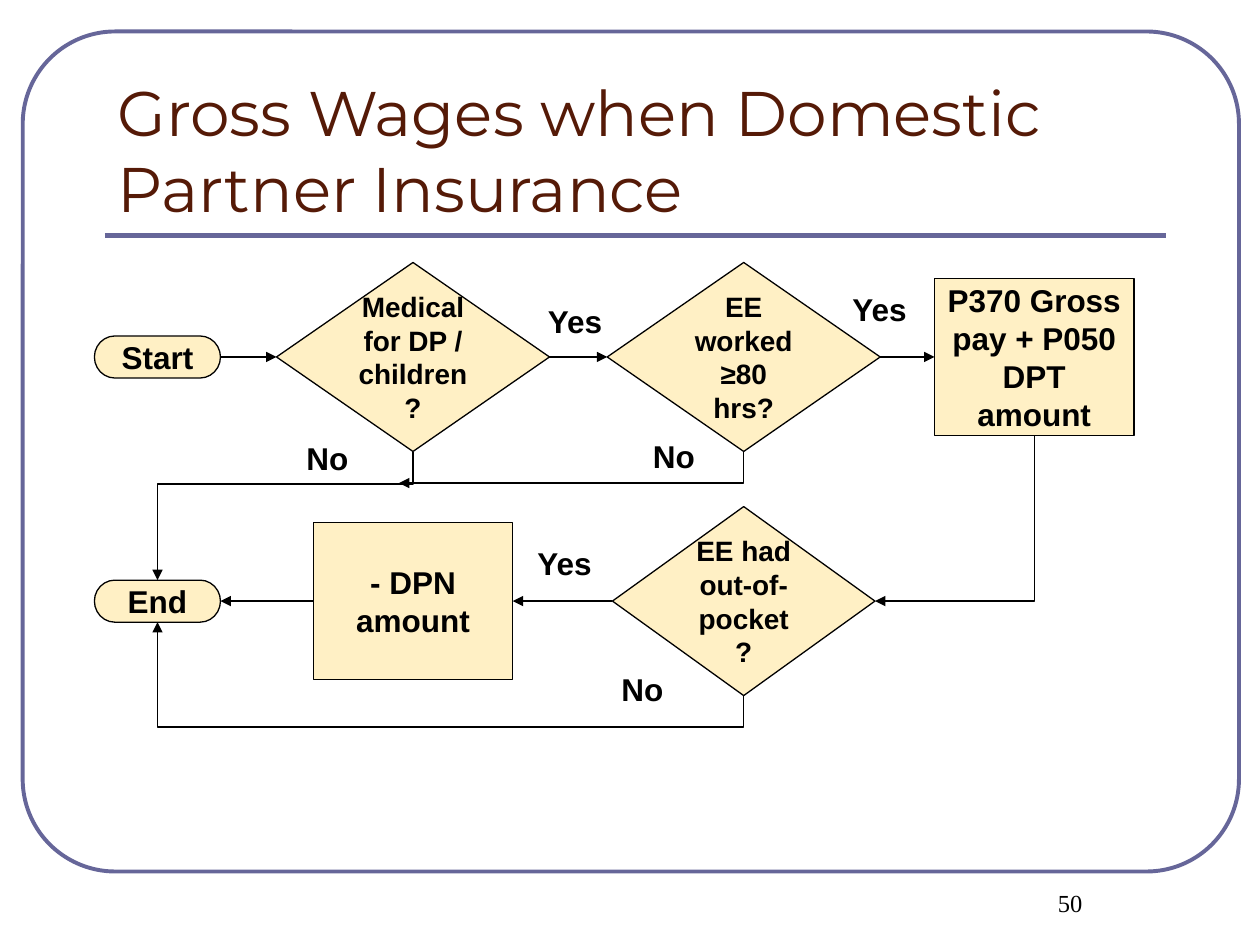
import pptx
import pptx.dml.color
import pptx.enum.shapes
import pptx.enum.text
import pptx.oxml
import pptx.oxml.ns
import pptx.util

Pt = pptx.util.Pt
SHAPE = pptx.enum.shapes.MSO_SHAPE
CONNECTOR = pptx.enum.shapes.MSO_CONNECTOR
ALIGN = pptx.enum.text.PP_ALIGN
ANCHOR = pptx.enum.text.MSO_ANCHOR

COLORS = {"frame": "666699", "title": "551A07", "node": "FFF0C5", "ink": "000000"}
COLUMN = {"terminal": 90, "first": 236, "second": 425, "result": 591}
ROW = {"upper": 204, "lower": 343.5}
MERGE_Y = 276
RETURN_Y = 415.5
DECISION = (156, 108)
NARROW_DECISION = (150, 108)
PROCESS = (114, 90)
TERMINAL = (72, 24)


def color(name):
    return pptx.dml.color.RGBColor.from_string(COLORS[name])


def set_text(box, text, size, font="Arial", ink="ink", bold=True,
             align=ALIGN.LEFT, anchor=ANCHOR.TOP, wrap=True):
    frame = box.text_frame
    frame.text = text
    frame.word_wrap = wrap
    frame.vertical_anchor = anchor
    paragraph = frame.paragraphs[0]
    paragraph.alignment = align
    span = paragraph.runs[0].font
    span.size = Pt(size)
    span.name = font
    span.bold = bold
    span.color.rgb = color(ink)
    return paragraph


def add_text(page, left, top, width, height, text, size, **style):
    box = page.shapes.add_textbox(Pt(left), Pt(top), Pt(width), Pt(height))
    return set_text(box, text, size, **style)


def add_label(page, left, top, text):
    paragraph = add_text(page, left, top, 52.5, 29, text, 18)
    paragraph.space_before = Pt(11.2)


def add_node(page, kind, column, row, size, text, font_size=18, wrap=True):
    width, height = size
    node = page.shapes.add_shape(
        kind, Pt(COLUMN[column] - width / 2), Pt(ROW[row] - height / 2),
        Pt(width), Pt(height))
    node.shadow.inherit = False
    node.fill.solid()
    node.fill.fore_color.rgb = color("node")
    node.line.color.rgb = color("ink")
    node.line.width = Pt(0.75)
    set_text(node, text, font_size, align=ALIGN.CENTER, anchor=ANCHOR.MIDDLE, wrap=wrap)


def add_line(page, start, end, kind=CONNECTOR.STRAIGHT, ink="ink", width=0.75, arrow=True):
    line = page.shapes.add_connector(kind, *(Pt(value) for value in start + end))
    line.line.color.rgb = color(ink)
    line.line.width = Pt(width)
    if arrow:
        head = pptx.oxml.parse_xml(
            "<a:tailEnd %s type='triangle'/>" % pptx.oxml.ns.nsdecls("a"))
        line.line._get_or_add_ln().append(head)
    line._element.spPr.append(
        pptx.oxml.parse_xml("<a:effectLst %s/>" % pptx.oxml.ns.nsdecls("a")))
    return line


def add_elbow(page, start, end, bend_y=None):
    line = add_line(page, start, end, CONNECTOR.ELBOW)
    across, down = abs(end[0] - start[0]), abs(end[1] - start[1])
    upward = end[1] < start[1]
    properties = line._element.spPr
    transform = properties.find(pptx.oxml.ns.qn("a:xfrm"))
    for name in ("flipH", "flipV"):
        transform.attrib.pop(name, None)
    transform.set("rot", str((270 if upward else 90) * 60000))
    if upward:
        transform.set("flipV", "1")
    line.left = Pt((start[0] + end[0] - down) / 2)
    line.top = Pt((start[1] + end[1] - across) / 2)
    line.width, line.height = Pt(down), Pt(across)
    geometry = properties.find(pptx.oxml.ns.qn("a:prstGeom"))
    if bend_y is None:
        geometry.set("prst", "bentConnector2")
        return
    ratio = (bend_y - start[1]) / (end[1] - start[1])
    guides = geometry.find(pptx.oxml.ns.qn("a:avLst"))
    guides.append(pptx.oxml.parse_xml(
        "<a:gd %s name='adj1' fmla='val %d'/>"
        % (pptx.oxml.ns.nsdecls("a"), round(ratio * 100000))))


def add_frame(page):
    border = page.shapes.add_shape(
        SHAPE.ROUNDED_RECTANGLE, Pt(13), Pt(18), Pt(695), Pt(480))
    border.adjustments[0] = 0.11
    border.shadow.inherit = False
    border.fill.background()
    border.line.color.rgb = color("frame")
    border.line.width = Pt(2.25)
    add_line(page, (60, 134.6), (666, 134.6), ink="frame", width=3, arrow=False)
    add_text(page, 60, 42, 606, 90, "Gross Wages when Domestic Partner Insurance", 36,
             font="Montserrat", ink="title", bold=False, anchor=ANCHOR.BOTTOM)
    number = add_text(page, 540, 504, 126, 36, "50", 14, font="Times New Roman",
                      bold=False, align=ALIGN.CENTER)
    number._p.get_or_add_pPr().set("marL", str(Pt(17)))


def add_nodes(page):
    decision, process = SHAPE.FLOWCHART_DECISION, SHAPE.FLOWCHART_PROCESS
    for row, text in (("upper", "Start"), ("lower", "End")):
        add_node(page, SHAPE.FLOWCHART_TERMINATOR, "terminal", row, TERMINAL, text, wrap=False)
    add_node(page, decision, "first", "upper", DECISION, "Medical for DP / children?", 16)
    add_node(page, decision, "second", "upper", DECISION, "EE worked ≥80 hrs?", 16)
    add_node(page, decision, "second", "lower", NARROW_DECISION, "EE had out-of-pocket?", 16)
    add_node(page, process, "result", "upper", PROCESS, "P370 Gross pay + P050 DPT amount")
    add_node(page, process, "first", "lower", PROCESS, "- DPN amount")


def add_flow(page):
    upper, lower = ROW["upper"], ROW["lower"]
    terminal, first, second, result = COLUMN.values()
    half_decision, half_narrow = DECISION[0] / 2, NARROW_DECISION[0] / 2
    half_process, half_terminal = PROCESS[0] / 2, TERMINAL[0] / 2
    for y, start, end in (
        (upper, terminal + half_terminal, first - half_decision),
        (upper, first + half_decision, second - half_decision),
        (upper, second + half_decision, result - half_process),
        (lower, second - half_narrow, first + half_process),
        (lower, first - half_process, terminal + half_terminal),
    ):
        add_line(page, (start, y), (end, y))
    drop, half_end = DECISION[1] / 2, TERMINAL[1] / 2
    add_elbow(page, (result, upper + PROCESS[1] / 2), (second + half_narrow, lower))
    add_elbow(page, (first, upper + drop), (terminal, lower - half_end), MERGE_Y + 0.5)
    add_elbow(page, (second, lower + drop), (terminal, lower + half_end), RETURN_Y)
    add_elbow(page, (second, upper + drop), (228, MERGE_Y))


def main():
    deck = pptx.Presentation()
    deck.slide_width, deck.slide_height = Pt(720), Pt(540)
    page = deck.slides.add_slide(deck.slide_layouts[6])
    add_frame(page)
    add_nodes(page)
    add_flow(page)
    for left, top, text in (
        (306, 169, "Yes"), (480, 162, "Yes"), (300, 307.5, "Yes"),
        (168, 247.5, "No"), (366, 246, "No"), (348, 379.5, "No"),
    ):
        add_label(page, left, top, text)
    deck.save("out.pptx")


if __name__ == "__main__":
    main()
